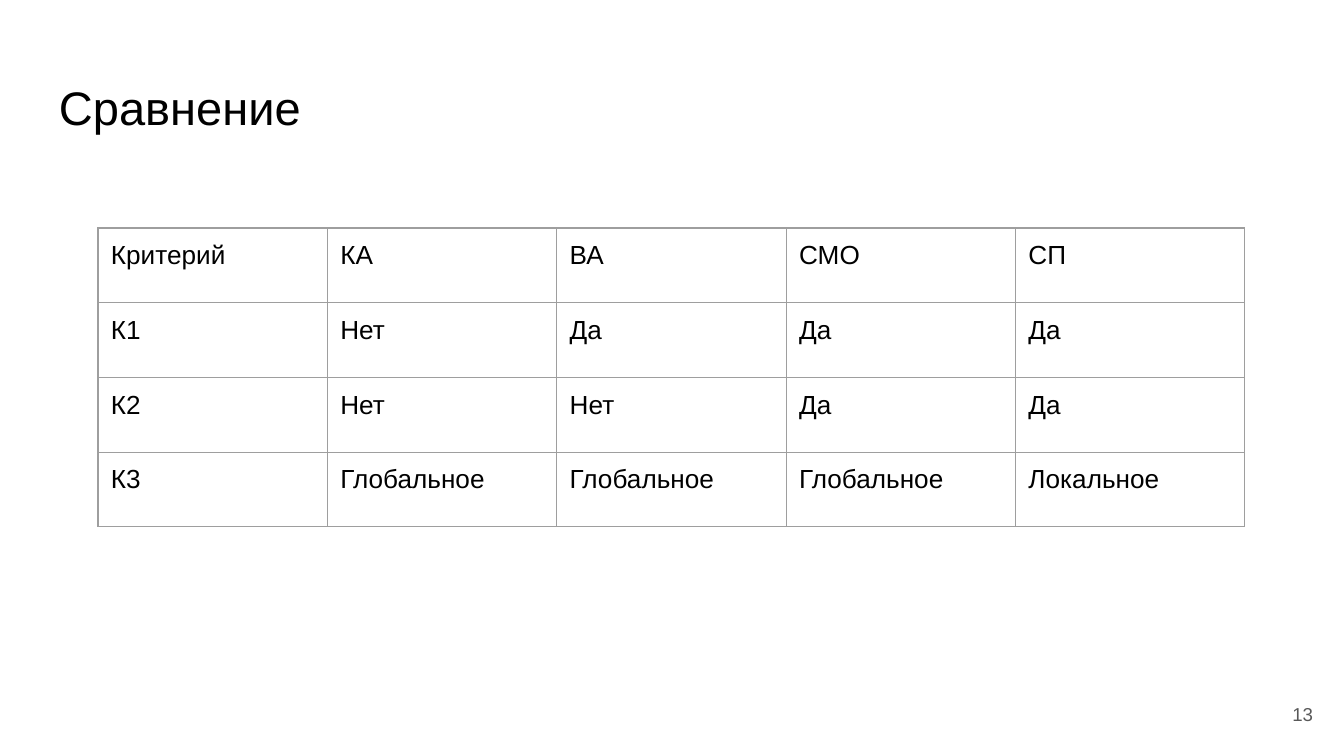
from lxml import etree
from pptx import Presentation
from pptx.dml.color import RGBColor
from pptx.enum.text import MSO_ANCHOR, PP_ALIGN
from pptx.oxml.ns import qn
from pptx.util import Emu, Pt

SCALE = 914400 / 134.4  # EMU in one px
PAD = 13
FONT = "Arial"
BLACK = RGBColor(0x00, 0x00, 0x00)
GRAY = RGBColor(0x59, 0x59, 0x59)
RULE = RGBColor(0x9E, 0x9E, 0x9E)
WHITE = RGBColor(0xFF, 0xFF, 0xFF)
LEFT, RIGHT = PP_ALIGN.LEFT, PP_ALIGN.RIGHT
TOP, MIDDLE = MSO_ANCHOR.TOP, MSO_ANCHOR.MIDDLE

ROWS = [
    ["Критерий", "КА", "ВА", "СМО", "СП"],
    ["К1", "Нет", "Да", "Да", "Да"],
    ["К2", "Нет", "Нет", "Да", "Да"],
    ["К3", "Глобальное", "Глобальное", "Глобальное", "Локальное"],
]


def px(n):
    return Emu(round(n * SCALE))


def apply(item, values):
    for name, value in values.items():
        setattr(item, name, value)


def write(frame, text, size, color, align=LEFT):
    par = frame.paragraphs[0]
    par.alignment = align
    run = par.add_run()
    run.text = text
    apply(run.font, {"name": FONT, "size": Pt(size)})
    run.font.color.rgb = color


def add_text(slide, box, text, size, color, align=LEFT, anchor=TOP):
    frame = slide.shapes.add_textbox(*map(px, box)).text_frame
    sides = ("left", "right", "top", "bottom")
    apply(frame, {f"margin_{side}": px(PAD) for side in sides})
    apply(frame, {"word_wrap": True, "vertical_anchor": anchor})
    write(frame, text, size, color, align)


def add_edges(cell):
    props = cell._tc.get_or_add_tcPr()
    for spot, tag in enumerate(("a:lnL", "a:lnR", "a:lnT", "a:lnB")):
        line = etree.Element(qn(tag), w=str(Pt(0.75)))
        fill = etree.SubElement(line, qn("a:solidFill"))
        etree.SubElement(fill, qn("a:srgbClr"), val=str(RULE))
        props.insert(spot, line)  # edges come before the fill


def add_grid(slide, box, rows):
    left, top, width, height = map(px, box)
    count, cols = len(rows), len(rows[0])
    table = slide.shapes.add_table(count, cols, left, top, width, height).table
    apply(table, {"first_row": False, "horz_banding": False})
    for col in table.columns:
        col.width = Emu(width // cols)
    for row, words in zip(table.rows, rows):
        row.height = Emu(height // count)
        for cell, word in zip(row.cells, words):
            sides = ("left", "right", "top", "bottom")
            apply(cell, {f"margin_{side}": px(PAD) for side in sides})
            cell.fill.solid()
            cell.fill.fore_color.rgb = WHITE
            add_edges(cell)
            write(cell.text_frame, word, 14, BLACK)


def main():
    deck = Presentation()
    apply(deck, {"slide_width": px(1344), "slide_height": px(756)})
    slide = deck.slides.add_slide(deck.slide_layouts[6])

    # Title
    add_text(slide, (46, 66, 1253, 85), "Сравнение", 25.2, BLACK)
    # Comparison table
    add_grid(slide, (98, 228, 1147, 299), ROWS)
    # Slide number
    add_text(slide, (1246, 685, 80, 58), "13", 10, GRAY, RIGHT, MIDDLE)

    deck.save("out.pptx")


if __name__ == "__main__":
    main()
